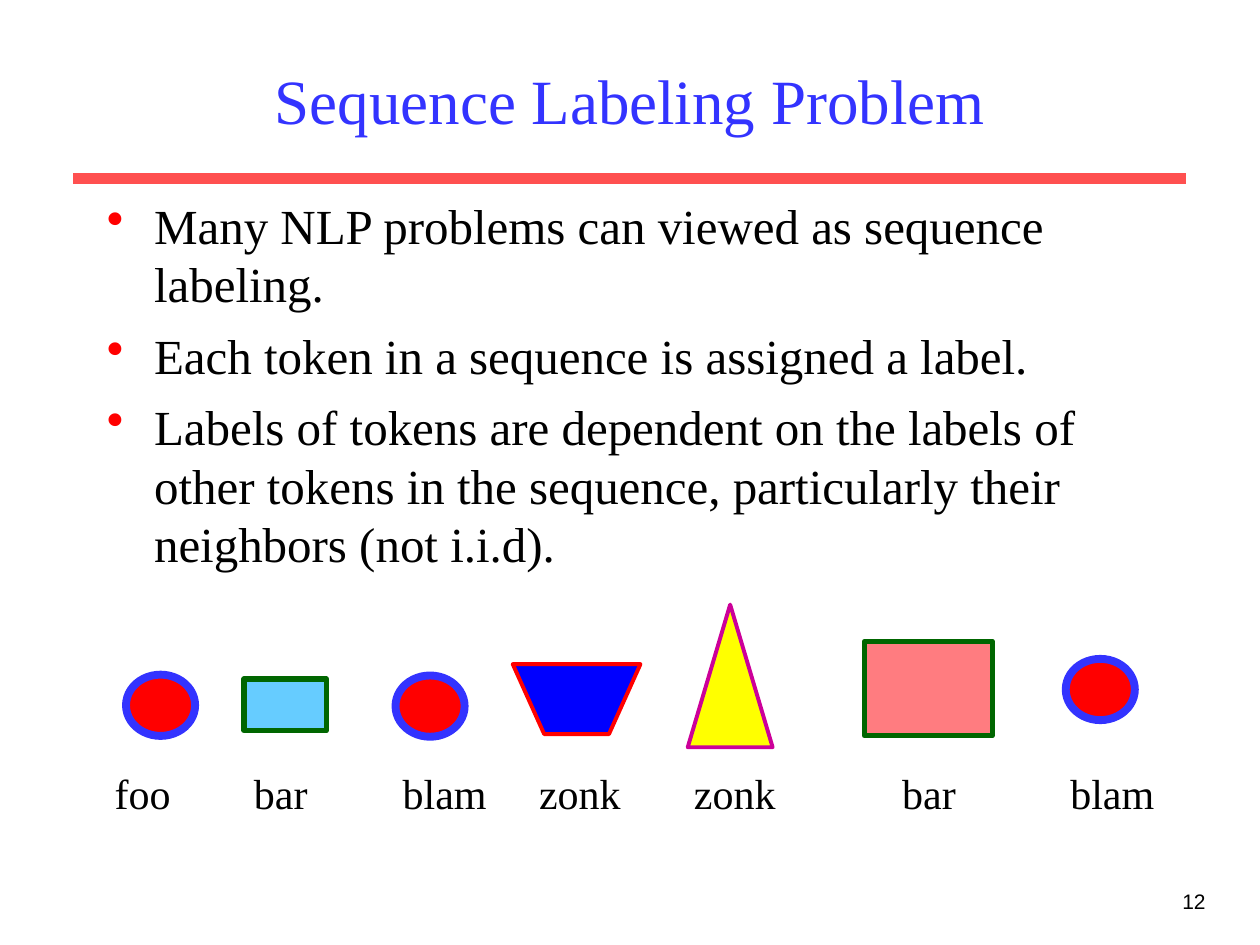
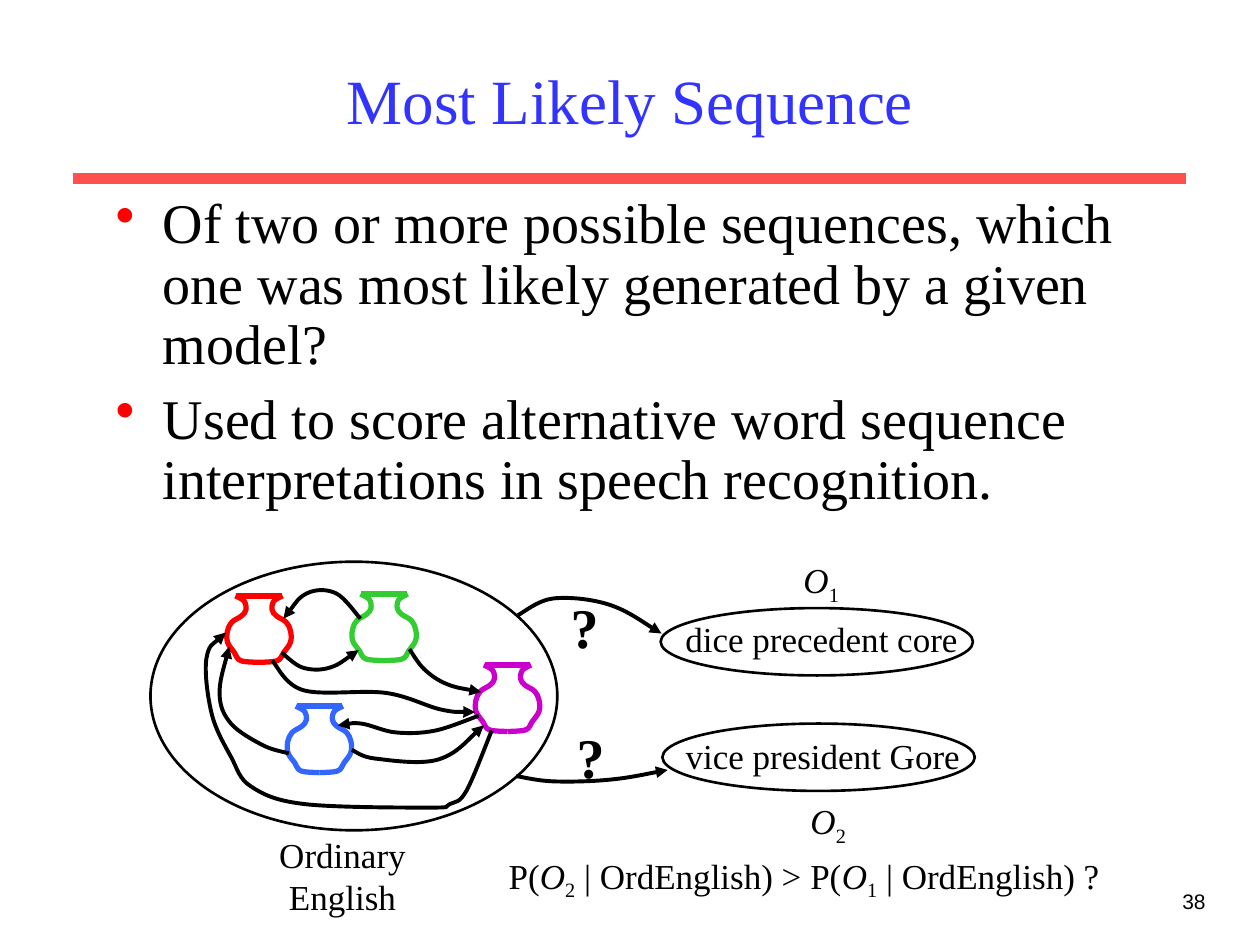
"""Build two slides on sequence labeling and the most likely sequence."""
from lxml.etree import SubElement
from pptx import Presentation
from pptx.dml.color import RGBColor
from pptx.enum.shapes import MSO_CONNECTOR, MSO_SHAPE
from pptx.enum.text import MSO_ANCHOR, PP_ALIGN
from pptx.oxml.ns import qn
from pptx.util import Pt

BLACK = RGBColor.from_string("000000")
BLUE = RGBColor.from_string("3333FF")
CORAL = RGBColor.from_string("FF5050")
RED = RGBColor.from_string("FF0000")
GREEN = RGBColor.from_string("006600")
SKY = RGBColor.from_string("66CCFF")
NAVY = RGBColor.from_string("0000FF")
YELLOW = RGBColor.from_string("FFFF00")
PINK = RGBColor.from_string("CC0099")
ROSE = RGBColor.from_string("FF7C80")
LIME = RGBColor.from_string("33CC33")
AZURE = RGBColor.from_string("3366FF")
PURPLE = RGBColor.from_string("CC00CC")


def write(slide, box, paras, size, align=PP_ALIGN.CENTER, color=BLACK,
          face="Times New Roman", wrap=False, bullet=False):
    """Place a text box; each paragraph is a list of runs."""
    frame = slide.shapes.add_textbox(*map(Pt, box)).text_frame
    frame.word_wrap = wrap
    for num, parts in enumerate(paras):
        para = frame.add_paragraph() if num else frame.paragraphs[0]
        if bullet:
            props = para._p.get_or_add_pPr()
            props.set("marL", str(Pt(27)))
            props.set("indent", str(-Pt(27)))
            tint = SubElement(props, qn("a:buClr"))
            SubElement(tint, qn("a:srgbClr"), val=str(RED))
            SubElement(props, qn("a:buChar"), char="•")
        para.alignment = align
        para.font.name = face
        para.font.size = Pt(size)
        para.font.color.rgb = color
        for part in parts:
            run = para.add_run()
            run.text = part
            if part == "O":
                run.font.italic = True
            elif part.isdigit() and len(parts) > 1:
                run._r.get_or_add_rPr().set("baseline", "-25000")
    return frame


def bend(slide, knots, color, thick, arrow=False):
    """Draw a smooth curve through the knots."""
    spots = [knots[0], *knots, knots[-1]]
    chain = []
    for past, here, there, next in zip(spots, spots[1:], spots[2:], spots[3:]):
        leave = [b + (c - a) / 6 for a, b, c in zip(past, here, there)]
        reach = [c - (d - b) / 6 for b, c, d in zip(here, there, next)]
        chain += [leave, reach, there]
    maker = slide.shapes.build_freeform(*map(Pt, knots[0]))
    maker.add_line_segments([(Pt(x), Pt(y)) for x, y in chain], close=False)
    shape = maker.convert_to_shape()
    shape.shadow.inherit = False
    shape.fill.background()
    shape.line.color.rgb = color
    shape.line.width = Pt(thick)
    track = shape._element.find(".//" + qn("a:path"))
    for num, step in enumerate(track.findall(qn("a:lnTo"))):
        if num % 3 == 0:
            curve = SubElement(track, qn("a:cubicBezTo"))
        curve.append(step[0])
        track.remove(step)
    if arrow:
        edge = shape._element.spPr.find(qn("a:ln"))
        SubElement(edge, qn("a:tailEnd"), type="triangle")


deck = Presentation()
deck.slide_width, deck.slide_height = Pt(720), Pt(540)

pages = [
    ("Sequence Labeling Problem", "12", 54, 28, 7, 1.0, [
        "Many NLP problems can viewed as sequence labeling.",
        "Each token in a sequence is assigned a label.",
        "Labels of tokens are dependent on the labels of other tokens in the "
        "sequence, particularly their neighbors (not i.i.d)."]),
    ("Most Likely Sequence", "38", 59, 32, 8, 0.9, [
        "Of two or more possible sequences, which one was most likely "
        "generated by a given model?",
        "Used to score alternative word sequence interpretations in speech "
        "recognition."]),
]
slides = []
lines = []
for title, page, left, size, gap, lead, points in pages:
    slide = deck.slides.add_slide(deck.slide_layouts[6])
    slides.append(slide)
    rule = slide.shapes.add_connector(
        MSO_CONNECTOR.STRAIGHT, Pt(42), Pt(102), Pt(678), Pt(102))
    lines.append((rule, CORAL, 6))
    write(slide, (546, 504, 150, 36), [[page]], 12, PP_ALIGN.RIGHT,
          face="Arial", wrap=True)
    head = write(slide, (54, 18, 612, 78), [[title]], 36, color=BLUE, wrap=True)
    head.vertical_anchor = MSO_ANCHOR.MIDDLE
    body = write(slide, (left, 108, 612, 210), [[point] for point in points],
                 size, PP_ALIGN.LEFT, wrap=True, bullet=True)
    for num, para in enumerate(body.paragraphs):
        para.line_spacing = lead
        if num:
            para.space_before = Pt(gap)
tokens, likely = slides

OVAL, RECT = MSO_SHAPE.OVAL, MSO_SHAPE.RECTANGLE
plan = [
    (tokens, RECT, (139.5, 388, 47, 29.5), SKY, GREEN, 3),
    (tokens, MSO_SHAPE.ISOSCELES_TRIANGLE, (393, 345.5, 48.5, 81.5),
     YELLOW, PINK, 2.25),
    (tokens, RECT, (494, 366.5, 73, 54), ROSE, GREEN, 3),
    (likely, OVAL, (86, 321, 232.5, 153.5), None, BLACK, 1.5),
]
for left, top in ((72, 385.5), (226, 386), (609, 376.5)):
    plan.append((tokens, OVAL, (left, top, 39.5, 35), RED, BLUE, 4.5))
for left, top in ((377.5, 347.5), (378.5, 413.5)):
    plan.append((likely, OVAL, (left, top, 178.5, 38.5), None, BLACK, 1.5))
forms = []
for slide, kind, box, *look in plan:
    forms.append((slide.shapes.add_shape(kind, *map(Pt, box)), *look))
maker = tokens.shapes.build_freeform(Pt(293), Pt(379.5))
maker.add_line_segments([(Pt(311), Pt(419.5)), (Pt(348), Pt(419.5)),
                         (Pt(366), Pt(379.5))])
forms.append((maker.convert_to_shape(), NAVY, RED, 2.25))
for form, fill, edge, thick in forms:
    form.shadow.inherit = False
    if fill is None:
        form.fill.background()
    else:
        form.fill.solid()
        form.fill.fore_color.rgb = fill
    form.line.color.rgb = edge
    form.line.width = Pt(thick)

names = write(tokens, (58.5, 435, 609, 36),
              [["foo\tbar\tblam\tzonk\tzonk\tbar\tblam"]],
              24, PP_ALIGN.LEFT, wrap=True)
props = names.paragraphs[0]._p.pPr
stops = SubElement(props, qn("a:tabLst"))
for place in (79.5, 164.5, 242.5, 331, 450, 546):
    SubElement(stops, qn("a:tab"), pos=str(Pt(place)), algn="l")
props.insert(0, stops)

side = [(5, 0), (10, 3), (11, 8), (8.5, 11.5), (3, 15), (0.5, 20),
        (0.5, 26.5), (4.5, 32.5), (8, 37), (18.5, 38)]
for left, top, color in [(164, 403.5, AZURE), (201, 339.5, LIME),
                         (129.5, 340.5, RED), (271.5, 380, PURPLE)]:
    for start, sign in ((left, 1), (left + 37, -1)):
        half = [(start + sign * x, top + y) for x, y in side]
        bend(likely, half, color, 3)
    rim = likely.shapes.add_connector(
        MSO_CONNECTOR.STRAIGHT, Pt(left + 5.5), Pt(top), Pt(left + 31.5), Pt(top))
    lines.append((rim, color, 3))
for line, color, thick in lines:
    line.line.color.rgb = color
    line.line.width = Pt(thick)
    SubElement(line._element.spPr, qn("a:effectLst"))

for knots in [
    [(161, 373), (173, 381.5), (188.5, 381.5), (205, 371.5)],
    [(234, 371), (242.5, 382.5), (255.5, 391), (275, 395.5)],
    [(206, 353.5), (192, 339), (175.5, 339), (162, 353.5)],
    [(155.5, 377.5), (173.5, 394.5), (220.5, 396), (252, 405.5), (271.5, 407)],
    [(201, 428.5), (214.5, 433.5), (250.5, 434), (276.5, 414.5)],
    [(165, 430.5), (150.5, 426), (132, 413.5), (125.5, 396.5), (131, 369.5)],
    [(281, 417.5), (266.5, 452), (257, 459.5), (245.5, 461.5), (174, 459.5),
     (143.5, 449.5), (132, 432.5), (121, 408), (118, 376), (129, 361.5)],
    [(273.5, 409), (248.5, 417.5), (226, 418.5), (206.5, 413.5), (193, 414.5)],
    [(296, 351.5), (316, 342), (348, 345.5), (378, 362)],
    [(295, 443.5), (316, 446.5), (349, 445.5), (381.5, 440)],
]:
    bend(likely, knots, BLACK, 2.25, arrow=True)

for box, parts in [
    ((119.5, 473, 152.5, 32), ["Ordinary English"]),
    ((384.5, 349.5, 170, 32), ["dice precedent core"]),
    ((384.5, 416, 171.5, 32), ["vice president Gore"]),
    ((452, 315.5, 34.5, 34.5), ["O", "1"]),
    ((456, 453.5, 34.5, 34.5), ["O", "2"]),
    ((283.5, 484.5, 352, 34.5),
     ["P(", "O", "2", " | OrdEnglish) > P(", "O", "1", " | OrdEnglish) ?"]),
]:
    write(likely, box, [parts], 20)
for left, top in ((319, 335), (322.5, 409.5)):
    mark = write(likely, (left, top, 30, 46), [["?"]], 32)
    mark.paragraphs[0].font.bold = True

deck.save("out.pptx")
